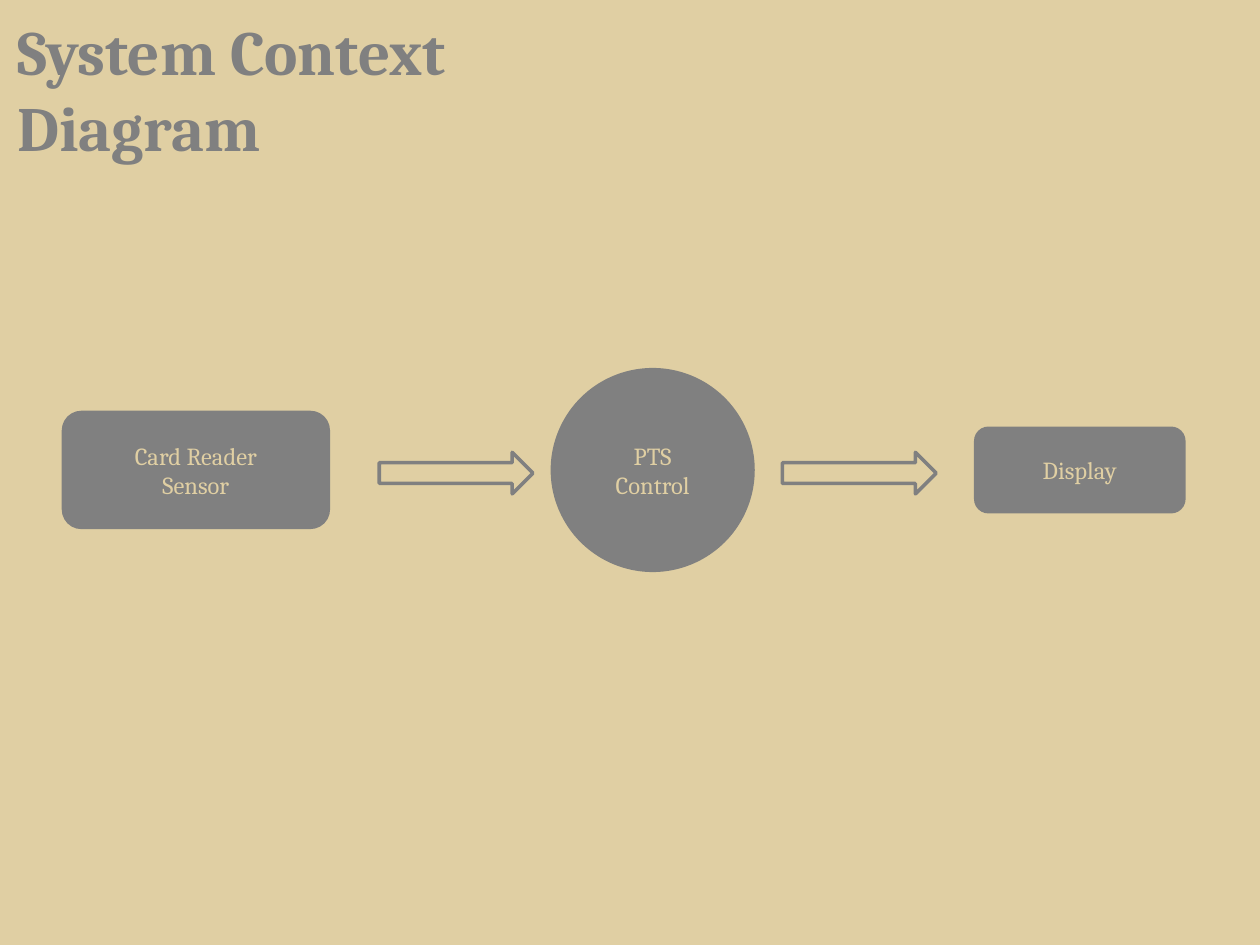
from lxml.etree import SubElement
from pptx import Presentation
from pptx.dml.color import RGBColor
from pptx.enum.shapes import MSO_SHAPE as Shape
from pptx.enum.text import MSO_ANCHOR as Anchor, MSO_AUTO_SIZE as AutoSize, PP_ALIGN as Align
from pptx.oxml.ns import qn
from pptx.util import Inches, Pt

SAND = RGBColor(0xE0, 0xCF, 0xA3)
GREY = RGBColor(0x80, 0x80, 0x80)
DARK = RGBColor(0x59, 0x59, 0x59)

CELL = Inches(0.1)
COLUMNS, ROWS = 100, 75
FLOW_ROW = 37.3
ARROW_ROW = 37.55
FONT = "Cambria"


def grid(*cells):
    return [round(cell * CELL) for cell in cells]


def write(box, text, size=14, color=SAND, bold=False, align=Align.CENTER, anchor=Anchor.MIDDLE):
    frame = box.text_frame
    frame.word_wrap = True
    frame.vertical_anchor = anchor
    frame.text = text
    for para in frame.paragraphs:
        para.alignment = align
        for span in para.runs:
            span.font.name = FONT
            span.font.size = Pt(size)
            span.font.bold = bold
            span.font.color.rgb = color


def outline_text(box, color, width):
    for para in box.text_frame.paragraphs:
        for span in para.runs:
            properties = span.font._element
            line = SubElement(properties, qn("a:ln"), w=str(Pt(width)))
            fill = SubElement(line, qn("a:solidFill"))
            SubElement(fill, qn("a:srgbClr"), val=str(color))
            properties.insert(0, line)


def add_title(page, text):
    box = page.shapes.add_textbox(*grid(0.4, 0.5, 55.1, 7.1))
    write(box, text, size=36, color=GREY, bold=True, align=Align.LEFT, anchor=Anchor.TOP)
    outline_text(box, DARK, 2)
    box.text_frame.auto_size = AutoSize.SHAPE_TO_FIT_TEXT


def add_centred(page, kind, left, middle, width, height):
    shape = page.shapes.add_shape(kind, *grid(left, middle - height / 2, width, height))
    shape.shadow.inherit = False
    return shape


def add_node(page, kind, text, left, width, height):
    node = add_centred(page, kind, left, FLOW_ROW, width, height)
    node.fill.solid()
    node.fill.fore_color.rgb = GREY
    node.line.fill.background()
    write(node, text)


def add_arrow(page, left):
    arrow = add_centred(page, Shape.RIGHT_ARROW, left, ARROW_ROW, 12.2, 3.3)
    arrow.fill.background()
    arrow.line.color.rgb = GREY
    arrow.line.width = Pt(2)


def main():
    deck = Presentation()
    deck.slide_width, deck.slide_height = grid(COLUMNS, ROWS)
    page = deck.slides.add_slide(deck.slide_layouts[6])
    page.background.fill.solid()
    page.background.fill.fore_color.rgb = SAND

    add_title(page, "System Context Diagram")
    add_node(page, Shape.ROUNDED_RECTANGLE, "Card Reader\nSensor", 4.9, 21.3, 9.4)
    add_node(page, Shape.OVAL, "PTS\nControl", 43.7, 16.2, 16.2)
    add_node(page, Shape.ROUNDED_RECTANGLE, "Display", 77.3, 16.8, 6.9)
    for left in (30.1, 62.1):
        add_arrow(page, left)

    deck.save("out.pptx")


if __name__ == "__main__":
    main()
